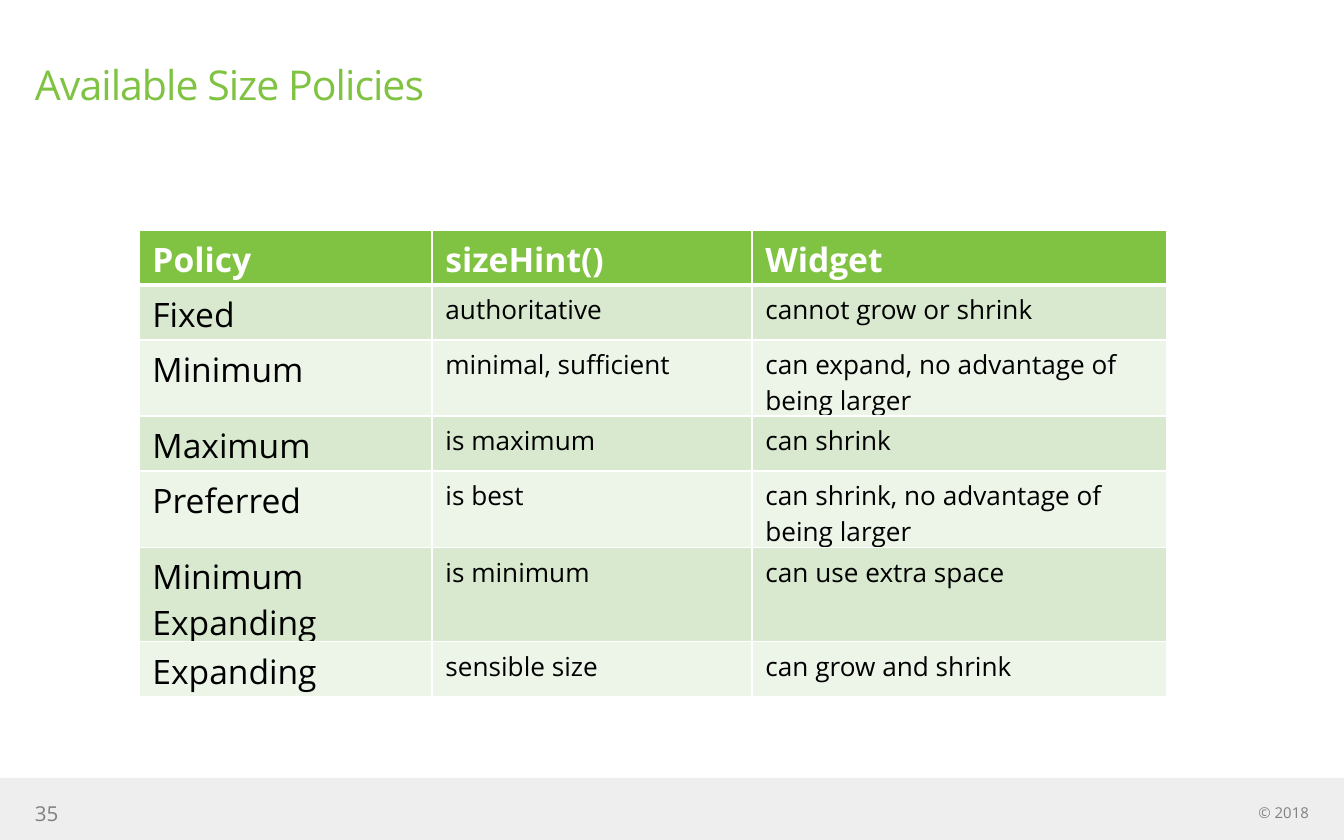
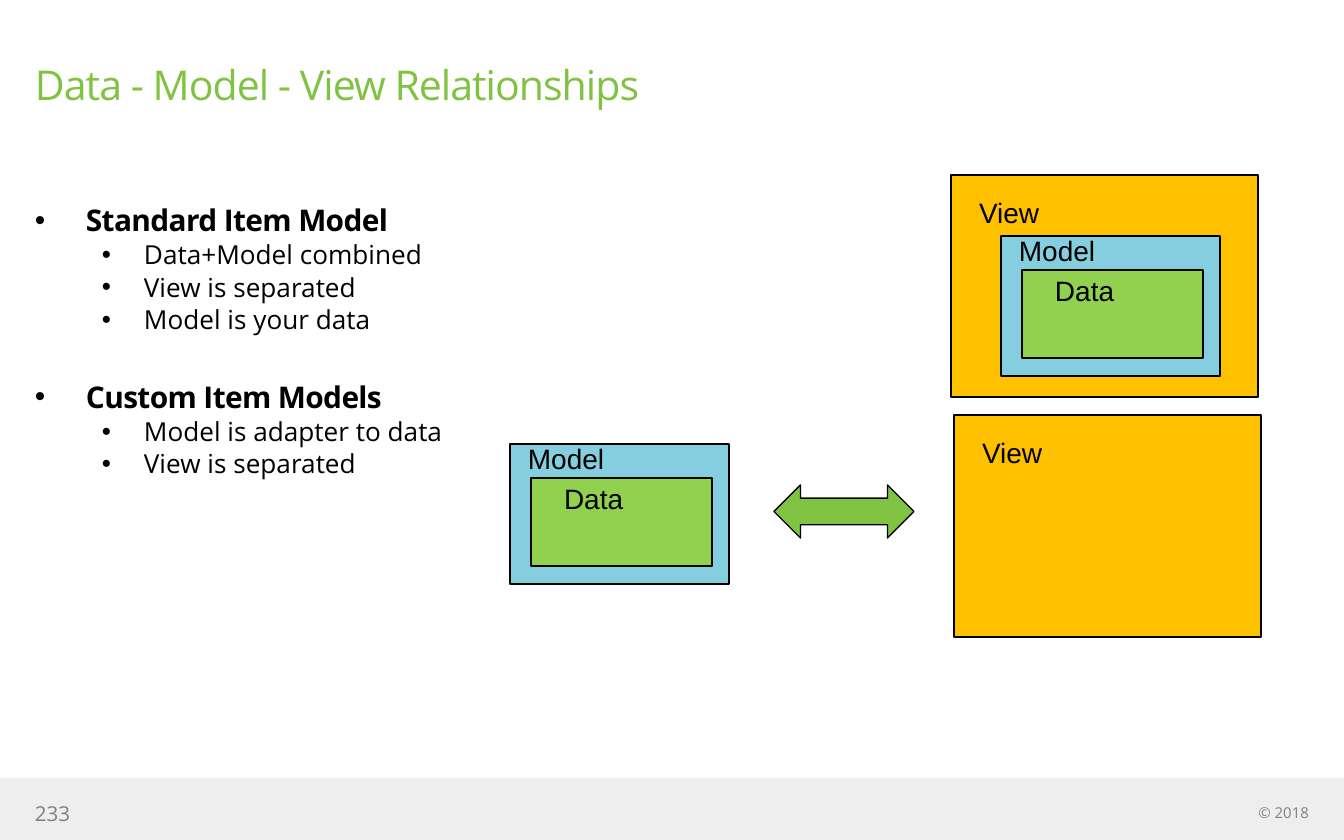
from dataclasses import dataclass

from lxml import etree
from pptx import Presentation
from pptx import util as u
from pptx.dml.color import RGBColor
from pptx.enum import shapes, text
from pptx.oxml.ns import qn

PX = 914400 / 134.4
W, H = 1344, 840
MARGIN = 35


@dataclass(frozen=True)
class Theme:
    font: str = "Open Sans"
    label_font: str = "Arial"
    green: str = "80C342"
    band: str = "EEEEEE"
    number: str = "7F7F7F"
    copyright: str = "808080"
    black: str = "000000"
    white: str = "FFFFFF"
    rows: tuple = ("D8E9CF", "EDF5E9")
    view: str = "FFC000"
    model: str = "84CEE0"
    data: str = "92D050"
    title_pt: int = 22
    head_pt: int = 18
    topic_pt: int = 16
    label_pt: int = 15
    body_pt: int = 14
    number_pt: int = 11
    copyright_pt: int = 8


T = Theme()

COPYRIGHT = "© 2018"

POLICIES = [
    ("Policy", "sizeHint()", "Widget"),
    ("Fixed", "authoritative", "cannot grow or shrink"),
    ("Minimum", "minimal, sufficient", "can expand, no advantage of being larger"),
    ("Maximum", "is maximum", "can shrink"),
    ("Preferred", "is best", "can shrink, no advantage of being larger"),
    ("Minimum Expanding", "is minimum", "can use extra space"),
    ("Expanding", "sensible size", "can grow and shrink"),
]
POLICY_COLS = (293, 320, 415)
POLICY_AT = (139, 230)
POLICY_ROW = 55

TOPICS = [
    ("Standard Item Model",
     ["Data+Model combined", "View is separated", "Model is your data"]),
    ("Custom Item Models",
     ["Model is adapter to data", "View is separated"]),
]

# name: (fill, box size, label offset, label size, label insets)
LAYERS = {
    "View": (T.view, (307, 222), (15, 14), (277, 81), (13, 7)),
    "Model": (T.model, (219, 140), (5, -9), (200, 81), (13, 7)),
    "Data": (T.data, (181, 88), (16, -4), (144, 51), (17, 8)),
}
DATA_IN_MODEL = (21, 34)
VIEWS = [(951, 175), (954, 415)]
MODELS = [(1001, 236), (510, 444)]
ARROW = (774, 485, 140, 53)


def px(n):
    return u.Emu(round(n * PX))


def rgb(color):
    return RGBColor.from_string(color)


def write(p, content, font=T.font, size=T.body_pt, color=T.black, bold=False,
          spacing=0, align=None):
    """Add one formatted run to p; spacing is in hundredths of a point."""
    r = p.add_run()
    r.text = content
    r.font.name, r.font.size, r.font.bold = font, u.Pt(size), bold
    r.font.color.rgb = rgb(color)
    if spacing:
        r.font._element.set("spc", str(spacing))
    if align is not None:
        p.alignment = align


def text_frame(s, box, insets=(0, 0), anchor=text.MSO_ANCHOR.TOP):
    tf = s.shapes.add_textbox(*map(px, box)).text_frame
    tf.word_wrap = True
    tf.vertical_anchor = anchor
    tf.margin_left = tf.margin_right = px(insets[0])
    tf.margin_top = tf.margin_bottom = px(insets[1])
    return tf


def add_shape(s, kind, box, fill, outlined=True):
    sp = s.shapes.add_shape(kind, *map(px, box))
    sp.shadow.inherit = False
    sp.fill.solid()
    sp.fill.fore_color.rgb = rgb(fill)
    if outlined:
        sp.line.color.rgb = rgb(T.black)
        sp.line.width = u.Pt(0.75)
    else:
        sp.line.fill.background()


def add_slide(prs, title, number):
    """Add a slide with the title, band and footers that all slides share."""
    s = prs.slides.add_slide(prs.slide_layouts[6])
    add_shape(s, shapes.MSO_SHAPE.RECTANGLE, (0, 778, W, H - 778), T.band, outlined=False)
    middle = text.MSO_ANCHOR.MIDDLE
    write(text_frame(s, (MARGIN, 800, 332, 26), anchor=middle).paragraphs[0],
          str(number), size=T.number_pt, color=T.number)
    write(text_frame(s, (MARGIN, 59, 907, 114)).paragraphs[0],
          title, size=T.title_pt, color=T.green, spacing=-50)
    write(text_frame(s, (W - MARGIN - 245, 804, 245, 18), anchor=middle).paragraphs[0],
          COPYRIGHT, size=T.copyright_pt, color=T.copyright, align=text.PP_ALIGN.RIGHT)
    return s


def set_borders(cell, **points):
    """Draw white cell borders; points maps L, R, T, B to widths."""
    tcPr = cell._tc.get_or_add_tcPr()
    for i, (side, pt) in enumerate(points.items()):
        ln = etree.Element(qn(f"a:ln{side}"), w=str(u.Pt(pt)))
        fill = etree.SubElement(ln, qn("a:solidFill"))
        etree.SubElement(fill, qn("a:srgbClr"), val=T.white)
        tcPr.insert(i, ln)


def add_policy_table(s):
    size = (sum(POLICY_COLS), POLICY_ROW * len(POLICIES))
    table = s.shapes.add_table(len(POLICIES), len(POLICY_COLS),
                               *map(px, POLICY_AT + size)).table
    table.horz_banding = False
    for col, width in zip(table.columns, POLICY_COLS):
        col.width = px(width)
    for i, row in enumerate(POLICIES):
        head = i == 0
        for j, content in enumerate(row):
            cell = table.cell(i, j)
            cell.fill.solid()
            cell.fill.fore_color.rgb = rgb(T.green if head else T.rows[(i - 1) % 2])
            set_borders(cell, L=1, R=1, T=3 if i == 1 else 1, B=3 if head else 1)
            write(cell.text_frame.paragraphs[0], content, bold=head,
                  size=T.head_pt if head or j == 0 else T.body_pt,
                  color=T.white if head else T.black)


def add_bullet(p, left, hang):
    pPr = p._p.get_or_add_pPr()
    pPr.set("marL", str(px(left)))
    pPr.set("indent", str(-px(hang)))
    etree.SubElement(pPr, qn("a:buFont"), typeface="Arial")
    etree.SubElement(pPr, qn("a:buChar"), char="•")


def add_topics(s):
    tf = text_frame(s, (MARGIN, 202, 1282, 556))
    for i, (topic, points) in enumerate(TOPICS):
        p = tf.add_paragraph() if i else tf.paragraphs[0]
        add_bullet(p, 51, 51)
        if i:
            p.space_before = u.Pt(23.5)
        write(p, topic, size=T.topic_pt, bold=True, spacing=-30)
        for point in points:
            p = tf.add_paragraph()
            p.level = 1
            add_bullet(p, 109, 42)
            p.space_before = u.Pt(0.5)
            write(p, point)


def add_layer(s, name, x, y):
    fill, size, (dx, dy), label_size, insets = LAYERS[name]
    add_shape(s, shapes.MSO_SHAPE.RECTANGLE, (x, y, *size), fill)
    tf = text_frame(s, (x + dx, y + dy, *label_size), insets)
    write(tf.paragraphs[0], name, font=T.label_font, size=T.label_pt)


def add_relationships(s):
    for x, y in VIEWS:
        add_layer(s, "View", x, y)
    for x, y in MODELS:
        add_layer(s, "Model", x, y)
        add_layer(s, "Data", x + DATA_IN_MODEL[0], y + DATA_IN_MODEL[1])
    add_shape(s, shapes.MSO_SHAPE.LEFT_RIGHT_ARROW, ARROW, T.green)


def main():
    prs = Presentation()
    prs.slide_width, prs.slide_height = px(W), px(H)
    add_policy_table(add_slide(prs, "Available Size Policies", 35))
    s = add_slide(prs, "Data - Model - View Relationships", 233)
    add_topics(s)
    add_relationships(s)
    prs.save("out.pptx")


if __name__ == "__main__":
    main()
